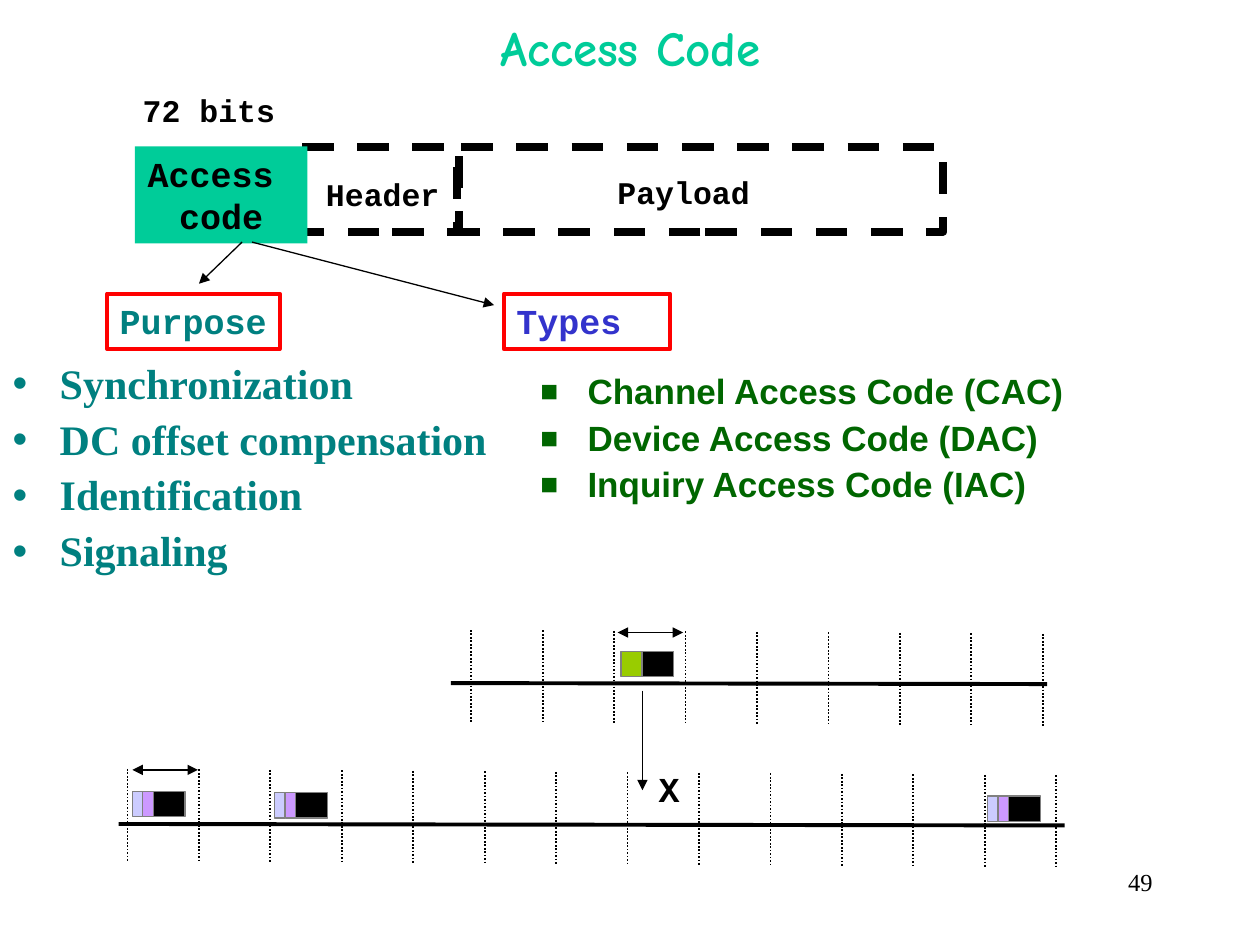
"""Build the Access Code slide: packet layout, purposes, types and two slot timelines."""
from dataclasses import dataclass
from typing import Optional

import lxml.etree
import pptx
import pptx.dml.color
import pptx.enum.dml
import pptx.enum.shapes
import pptx.enum.text
import pptx.oxml.ns
import pptx.util

Cm = pptx.util.Cm
Pt = pptx.util.Pt
RGBColor = pptx.dml.color.RGBColor
Align = pptx.enum.text.PP_ALIGN
Anchor = pptx.enum.text.MSO_ANCHOR
AutoSize = pptx.enum.text.MSO_AUTO_SIZE
Dash = pptx.enum.dml.MSO_LINE
qn = pptx.oxml.ns.qn

BLACK = RGBColor(0x00, 0x00, 0x00)
GREY = RGBColor(0x80, 0x80, 0x80)
MINT = RGBColor(0x00, 0xCC, 0x99)
TEAL = RGBColor(0x00, 0x80, 0x80)
RED = RGBColor(0xFF, 0x00, 0x00)
BLUE = RGBColor(0x33, 0x33, 0xCC)
GREEN = RGBColor(0x00, 0x66, 0x00)
LIME = RGBColor(0x99, 0xCC, 0x00)
LAVENDER = RGBColor(0xCC, 0xCC, 0xFF)
VIOLET = RGBColor(0xCC, 0x99, 0xFF)

SLOT = 1.44
TICK_HEIGHT = 1.85
TICK_DRIFT = 0.01
PACKET_HEIGHT = 0.51


@dataclass
class Area:
    left: float
    top: float
    width: float
    height: float

    def lengths(self) -> tuple:
        return Cm(self.left), Cm(self.top), Cm(self.width), Cm(self.height)


@dataclass
class Label:
    text: str
    area: Area
    size: float = 18
    color: RGBColor = BLACK
    align: Align = Align.CENTER
    anchor: Anchor = Anchor.MIDDLE
    font: str = "Courier New"
    bold: bool = True
    wrap: bool = False
    fill: Optional[RGBColor] = None
    border: Optional[RGBColor] = None


@dataclass
class BulletList:
    entries: list
    area: Area
    font: str
    size: float
    color: RGBColor
    bullet: str
    bullet_percent: int
    space_before: float


@dataclass
class Timeline:
    first_tick: float
    tick_top: float
    ticks: int
    axis: tuple
    slot_arrow: tuple


@dataclass
class Packet:
    left: float
    top: float
    fields: list


def style_text(frame, font: str, size: float, color: RGBColor, bold: bool = True) -> None:
    for para in frame.paragraphs:
        for span in para.runs:
            span.font.name, span.font.size = font, Pt(size)
            span.font.bold, span.font.color.rgb = bold, color


def add_box(page, area: Area, fill=None, border=None, weight: float = 0.74, dash=None):
    box = page.shapes.add_shape(pptx.enum.shapes.MSO_SHAPE.RECTANGLE, *area.lengths())
    box.shadow.inherit = False
    if fill is None:
        box.fill.background()
    else:
        box.fill.solid()
        box.fill.fore_color.rgb = fill
    if border is None:
        box.line.fill.background()
    else:
        box.line.color.rgb, box.line.width = border, Pt(weight)
    if dash is not None:
        box.line.dash_style = dash
    return box


def add_label(page, label: Label) -> None:
    if label.fill is not None or label.border is not None:
        box = add_box(page, label.area, label.fill, label.border, 2.24)
    else:
        box = page.shapes.add_textbox(*label.area.lengths())
    frame = box.text_frame
    frame.text = label.text
    frame.word_wrap = label.wrap
    frame.auto_size = AutoSize.NONE if label.wrap else AutoSize.SHAPE_TO_FIT_TEXT
    frame.vertical_anchor = label.anchor
    for para in frame.paragraphs:
        para.alignment = label.align
    style_text(frame, label.font, label.size, label.color, label.bold)


def add_line(page, ends: tuple, weight: float = 0.99, dash=None, arrows: tuple = ()) -> None:
    link = page.shapes.add_connector(
        pptx.enum.shapes.MSO_CONNECTOR.STRAIGHT, *(Cm(value) for value in ends))
    link.line.color.rgb, link.line.width = BLACK, Pt(weight)
    if dash is not None:
        link.line.dash_style = dash
    properties = link._element.spPr
    for arrow in arrows:
        lxml.etree.SubElement(properties.find(qn("a:ln")), qn(f"a:{arrow}"), type="triangle")
    lxml.etree.SubElement(properties, qn("a:effectLst"))


def fill_list(box, content: BulletList) -> None:
    box.left, box.top, box.width, box.height = content.area.lengths()
    frame = box.text_frame
    frame.text = "\n".join(content.entries)
    frame.auto_size = AutoSize.NONE
    for para in frame.paragraphs:
        para.line_spacing, para.space_before = 0.9, Pt(content.space_before)
        properties = para._p.get_or_add_pPr()
        properties.set("marL", str(Cm(0.95)))
        properties.set("indent", str(Cm(-0.95)))
        tint = lxml.etree.SubElement(properties, qn("a:buClr"))
        lxml.etree.SubElement(tint, qn("a:srgbClr"), val=str(content.color))
        lxml.etree.SubElement(properties, qn("a:buSzPct"), val=str(content.bullet_percent * 1000))
        lxml.etree.SubElement(properties, qn("a:buChar"), char=content.bullet)
    style_text(frame, content.font, content.size, content.color)


def add_timeline(page, timeline: Timeline) -> None:
    for index in range(timeline.ticks):
        left = timeline.first_tick + index * SLOT
        top = timeline.tick_top + index * TICK_DRIFT
        add_line(page, (left, top, left, top + TICK_HEIGHT), dash=Dash.ROUND_DOT)
    add_line(page, timeline.axis, 2.24)
    add_line(page, timeline.slot_arrow, arrows=("headEnd", "tailEnd"))


def add_packet(page, packet: Packet) -> None:
    left = packet.left
    for width, color in packet.fields:
        add_box(page, Area(left, packet.top, width, PACKET_HEIGHT), color, GREY)
        left += width


deck = pptx.Presentation()
deck.slide_width, deck.slide_height = Cm(25.4), Cm(19.05)
page = deck.slides.add_slide(deck.slide_layouts[3])
title, purposes, types_list = page.placeholders

title.left, title.top, title.width, title.height = Area(1.91, 0, 21.59, 1.91).lengths()
title.text_frame.text = "Access Code"
title.text_frame.vertical_anchor = Anchor.MIDDLE
title.text_frame.paragraphs[0].alignment = Align.CENTER
style_text(title.text_frame, "Comic Neue", 28, MINT)

fill_list(purposes, BulletList(
    ["Synchronization", "DC offset compensation", "Identification", "Signaling"],
    Area(0, 7.19, 11.43, 4.65), "Times New Roman", 24, TEAL, "•", 100, 6))
fill_list(types_list, BulletList(
    ["Channel Access Code (CAC)", "Device Access Code (DAC)", "Inquiry Access Code (IAC)"],
    Area(10.64, 7.42, 11.35, 3.81), "Arial", 20, GREEN, "■", 85, 5))

for field in (Area(9.22, 2.97, 9.8, 1.7), Area(6.05, 2.97, 3.2, 1.7)):
    add_box(page, field, border=BLACK, weight=4.51, dash=Dash.DASH)

for label in (
    Label("Access \ncode", Area(2.72, 2.95, 3.48, 1.96), 20, fill=MINT),
    Label("Header", Area(6.32, 3.4, 2.79, 1.02)),
    Label("Payload", Area(12.19, 3.35, 3.18, 1.02)),
    Label("72 bits", Area(2.62, 1.7, 3.18, 1.02)),
    Label("Purpose", Area(2.16, 5.92, 3.48, 1.12), 20, TEAL, Align.LEFT, Anchor.TOP, border=RED),
    Label("Types", Area(10.16, 5.92, 3.35, 1.12), 20, BLUE, Align.LEFT, Anchor.TOP,
          wrap=True, border=RED),
    Label("X", Area(13.03, 15.34, 0.91, 1.12), 20, BLACK, Align.LEFT, Anchor.TOP),
    Label("49", Area(18.21, 17.35, 5.28, 1.27), 14, BLACK, Align.RIGHT, Anchor.TOP,
          "Times New Roman", False, True),
):
    add_label(page, label)

add_timeline(page, Timeline(2.57, 15.5, 14, (2.39, 16.61, 21.46, 16.64), (2.67, 15.52, 3.99, 15.52)))
add_timeline(page, Timeline(9.5, 12.7, 9, (9.09, 13.77, 21.11, 13.79), (12.45, 12.75, 13.77, 12.75)))

REPLY = [(0.21, LAVENDER), (0.21, VIOLET), (0.64, BLACK)]
for packet in (Packet(2.67, 15.95, REPLY), Packet(5.54, 15.98, REPLY), Packet(19.91, 16.05, REPLY),
               Packet(12.52, 13.13, [(0.42, LIME), (0.64, BLACK)])):
    add_packet(page, packet)

add_line(page, (12.95, 13.92, 12.95, 15.93), arrows=("tailEnd",))
for pointer in ((4.88, 4.88, 4.01, 5.72), (5.08, 4.88, 9.96, 6.15)):
    add_line(page, pointer, 0.74, arrows=("tailEnd",))

deck.save("out.pptx")
